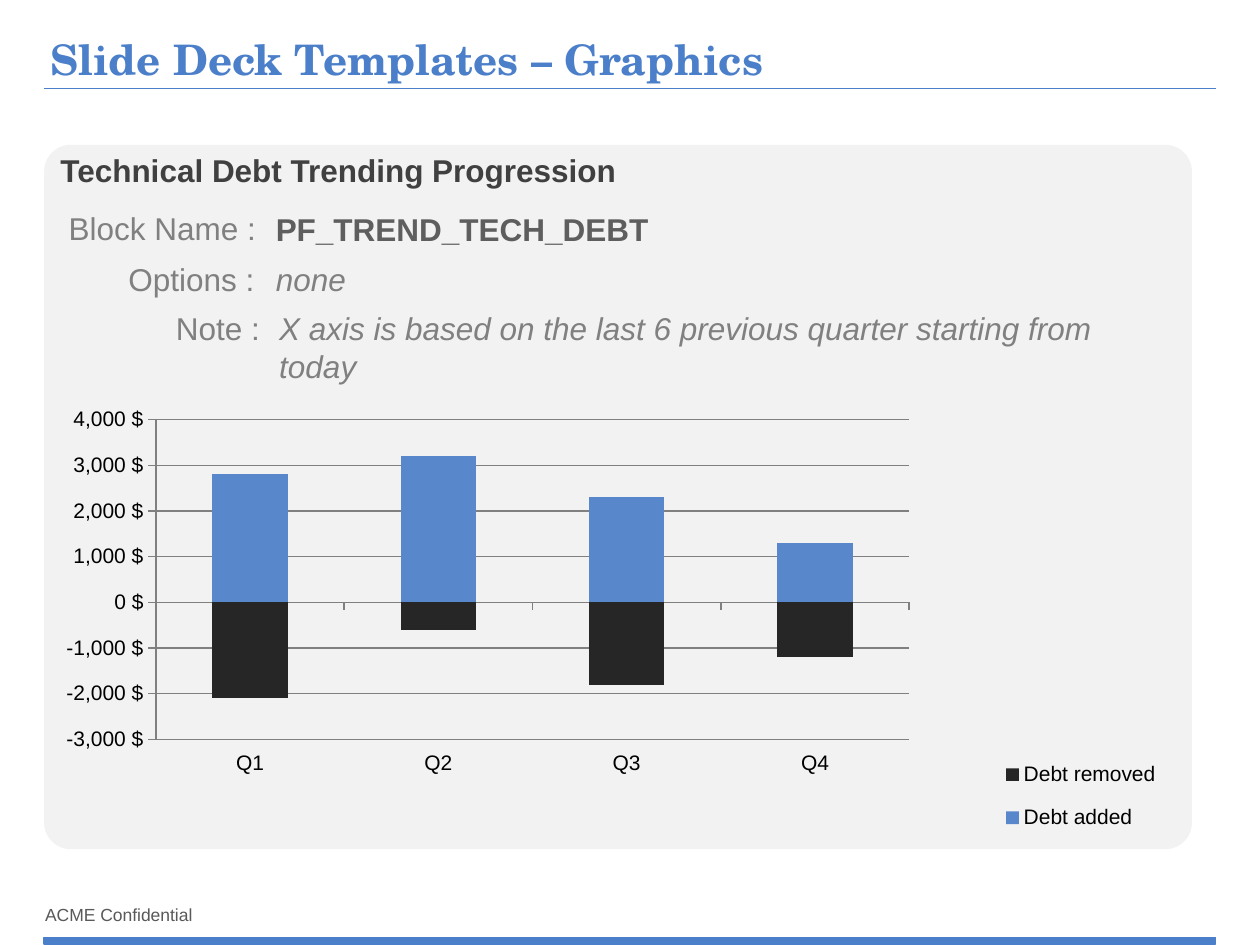
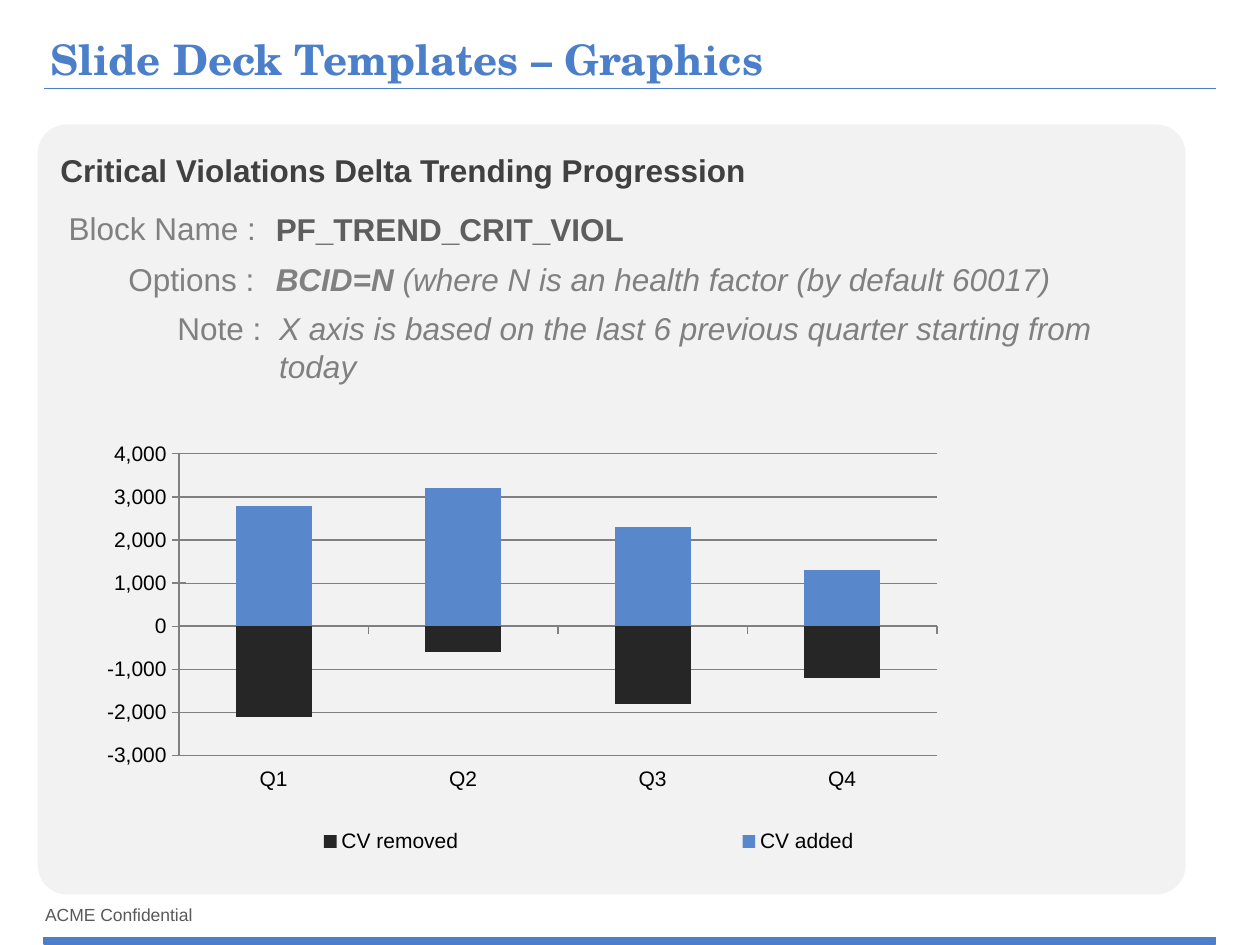
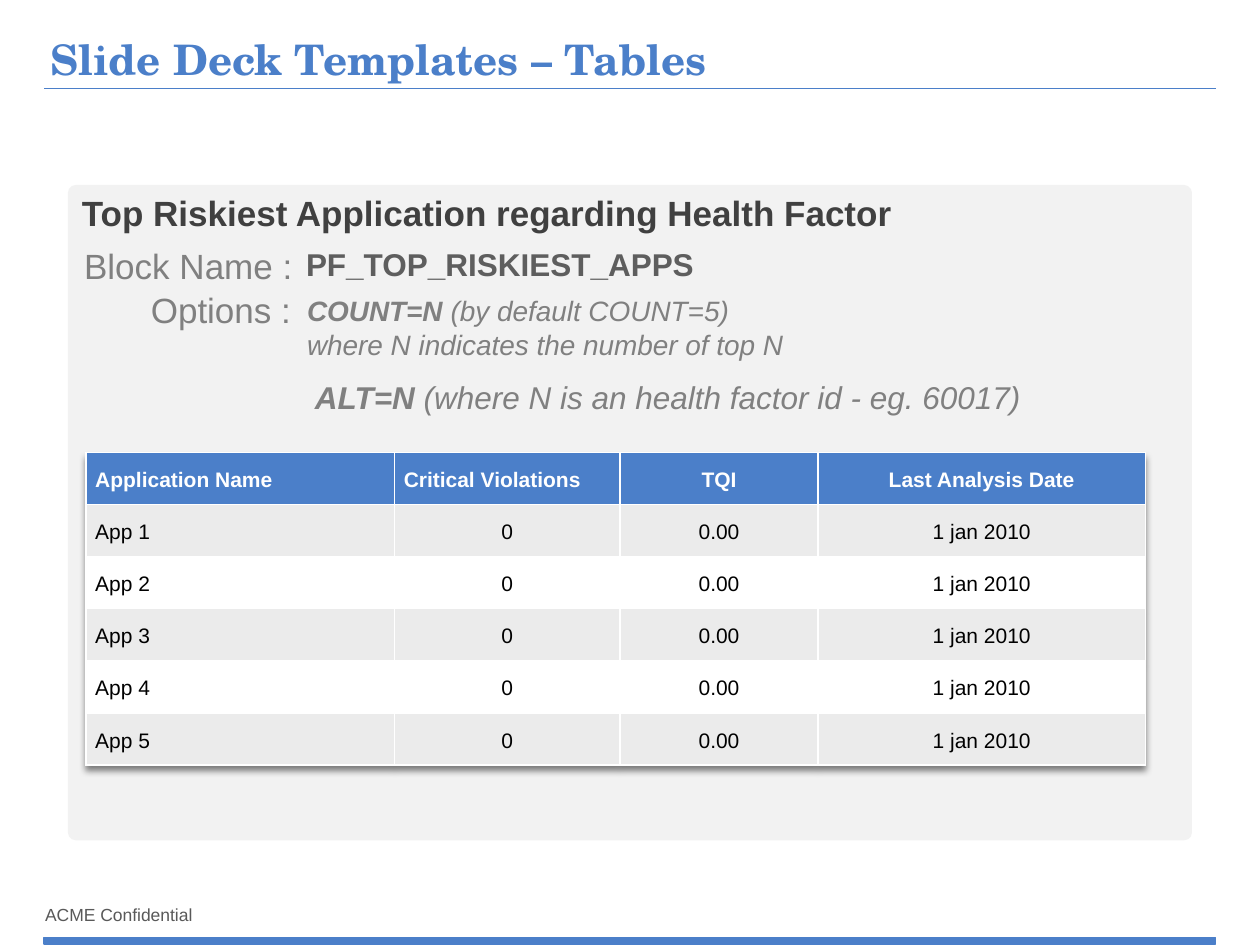
from lxml import etree
from pptx import Presentation
from pptx.chart.data import CategoryChartData
from pptx.dml.color import RGBColor
from pptx.enum.chart import XL_CHART_TYPE, XL_LEGEND_POSITION, XL_TICK_LABEL_POSITION, XL_TICK_MARK
from pptx.enum.shapes import MSO_CONNECTOR, MSO_SHAPE
from pptx.enum.text import MSO_ANCHOR, PP_ALIGN
from pptx.oxml import parse_xml
from pptx.oxml.ns import nsdecls, qn
from pptx.util import Cm, Pt

COLUMNS = XL_CHART_TYPE.COLUMN_CLUSTERED
LEGEND_RIGHT = XL_LEGEND_POSITION.RIGHT
LABELS_LOW = XL_TICK_LABEL_POSITION.LOW
TICK_OUT, TICK_CROSS = XL_TICK_MARK.OUTSIDE, XL_TICK_MARK.CROSS
STRAIGHT = MSO_CONNECTOR.STRAIGHT
RECTANGLE, ROUNDED = MSO_SHAPE.RECTANGLE, MSO_SHAPE.ROUNDED_RECTANGLE
TOP, MIDDLE, BOTTOM = MSO_ANCHOR.TOP, MSO_ANCHOR.MIDDLE, MSO_ANCHOR.BOTTOM
LEFT, CENTER, RIGHT = PP_ALIGN.LEFT, PP_ALIGN.CENTER, PP_ALIGN.RIGHT

BODY_FONT, TITLE_FONT = "Arial", "TeX Gyre Schola"
BLUE, BAR_BLUE, BAR_DARK = "4B7FC9", "5987CC", "262626"
PANEL, STRIPE, WHITE, BLACK = "F2F2F2", "EBEBEB", "FFFFFF", "000000"
HEADING, NAME, GREY, FOOTER = "404040", "5E5E5E", "808080", "595959"
INSETS = (0.25, 0.13, 0.25, 0.13)
EDGE, CONTENT_WIDTH = 0.89, 23.62

FOOTER_TEXT = "ACME Confidential"
QUARTERS = ["Q1", "Q2", "Q3", "Q4"]
REMOVED = [-2100, -600, -1800, -1200]
ADDED = [2800, 3200, 2300, 1300]
NOTE = "X axis is based on the last 6 previous quarter starting from today"

# Boxes are (left, top, width, height) in centimetres.
# Labels and values: text, box, size. A value's paragraphs hold (text, style) spans.
CHART_SLIDES = [
    {
        "title": "Slide Deck Templates – Graphics",
        "panel": (0.89, 2.92, 23.14, 14.2),
        "heading": "Technical Debt Trending Progression",
        "name": "PF_TREND_TECH_DEBT",
        "options": [("none", "i")],
        "note_left": 3.25,
        "chart": (0.97, 7.52, 23.62, 10.8),
        "series": ("Debt removed", "Debt added"),
        "format": '#,##0\\ "$"',
        "plot": (0.092, 0.087, 0.643, 0.597),
        "legend": (0.8, 0.69, 0.163, 0.2),
    },
    {
        "title": "Slide Deck Templates – Graphics",
        "panel": (0.76, 2.51, 23.14, 15.52),
        "heading": "Critical Violations Delta Trending Progression",
        "name": "PF_TREND_CRIT_VIOL",
        "options": [("BCID=N", "bi"), (" (where N is an health factor (by default 60017)", "i")],
        "note_left": 3.28,
        "chart": (0.71, 8.61, 23.01, 10.19),
        "series": ("CV removed", "CV added"),
        "format": "#,##0",
        "plot": (0.126, 0.053, 0.664, 0.597),
        "legend": (0.01, 0.77, 0.95, 0.1),
    },
]

TABLE_TITLE = "Slide Deck Templates – Tables"
TABLE_HEADING = "Top Riskiest Application regarding Health Factor"
TABLE_LABELS = [
    ("Block Name :", (1.4, 4.8, 4.75, 1.12), 20),
    ("Options :", (2.77, 5.69, 3.35, 1.12), 20),
]
TABLE_VALUES = [
    ([[("COUNT=N", "bi"), (" (by default COUNT=5)", "i")],
      [("where N indicates the number of top N", "i")]], (5.94, 5.79, 18.42, 1.63), 16),
    ([[("ALT=N", "bi"), (" (where N is an health factor id - eg. 60017)", "i")]],
     (6.1, 7.49, 17.2, 1.02), 18),
]
HEADERS = ["Application Name", "Critical Violations", "TQI", "Last Analysis Date"]
APPLICATIONS = [[f"App {number}", "0", "0.00", "1 jan 2010"] for number in range(1, 6)]
COLUMN_WIDTHS = [6.22, 4.55, 3.99, 6.6]
ROW_HEIGHT = 1.05


def rgb(color):
    return RGBColor.from_string(color)


def cm(lengths):
    return [Cm(length) for length in lengths]


def style_font(font, size, color, style="", name=BODY_FONT):
    font.size, font.name = Pt(size), name
    font.bold, font.italic = "b" in style, "i" in style
    font.color.rgb = rgb(color)


def add_text(page, paragraphs, place, size, color, font=BODY_FONT, align=LEFT,
             anchor=TOP, insets=INSETS, wrap=True, spacing=None):
    """Add a text box; each paragraph is a list of (text, style) spans."""
    frame = page.shapes.add_textbox(*cm(place)).text_frame
    frame.word_wrap, frame.vertical_anchor = wrap, anchor
    (frame.margin_left, frame.margin_top,
     frame.margin_right, frame.margin_bottom) = cm(insets)
    for index, spans in enumerate(paragraphs):
        para = frame.add_paragraph() if index else frame.paragraphs[0]
        para.alignment, para.line_spacing = align, spacing
        for text, style in spans:
            span = para.add_run()
            span.text = text
            style_font(span.font, size, color, style, font)


def add_box(page, kind, place, color):
    box = page.shapes.add_shape(kind, *cm(place))
    box.shadow.inherit = False
    box.fill.solid()
    box.fill.fore_color.rgb = rgb(color)
    box.line.fill.background()
    return box


def add_page(deck, title, panel, corner):
    """Add a slide with its footer, title, rule, band and grey panel."""
    page = deck.slides.add_slide(deck.slide_layouts[6])
    add_text(page, [[(FOOTER_TEXT, "")]], (0.91, 18.11, 3.12, 0.64), 10, FOOTER,
             anchor=MIDDLE, insets=(0, 0, 0, 0), wrap=False)
    rule = page.shapes.add_connector(STRAIGHT, *cm((EDGE, 1.78, EDGE + CONTENT_WIDTH, 1.78)))
    rule.line.color.rgb, rule.line.width = rgb(BLUE), Pt(0.5)
    etree.SubElement(rule._element.spPr, qn("a:effectLst"))
    band = add_box(page, RECTANGLE, (EDGE, 18.9, CONTENT_WIDTH, 0.13), BLUE)
    band.line.color.rgb, band.line.width = rgb(BLUE), Pt(0.75)
    add_text(page, [[(title, "b")]], (EDGE, 0.66, CONTENT_WIDTH, 1.04), 24, BLUE,
             font=TITLE_FONT, anchor=BOTTOM, insets=(0.13, 0.13, 0.13, 0), spacing=0.9)
    add_box(page, ROUNDED, panel, PANEL).adjustments[0] = corner
    return page


def add_heading(page, text, place, size):
    add_text(page, [[(text, "b")]], place, size, HEADING, insets=(0.51, 0.13, 0.51, 0.13))


def add_block_name(page, text, left, top):
    add_text(page, [[(text, "b")]], (left, top, 18.42, 1.02), 18, NAME)


def add_details(page, labels, values):
    for text, place, size in labels:
        add_text(page, [[(text, "")]], place, size, GREY, align=RIGHT, wrap=False)
    for paragraphs, place, size in values:
        add_text(page, paragraphs, place, size, GREY)


def set_layout(element, index, fractions, inner=False):
    """Fix the place of a plot area or legend as fractions of the chart."""
    for old in element.findall(qn("c:layout")):
        element.remove(old)
    layout = etree.Element(qn("c:layout"))
    manual = etree.SubElement(layout, qn("c:manualLayout"))
    settings = [("layoutTarget", "inner")] if inner else []
    settings += [("xMode", "edge"), ("yMode", "edge"), *zip("xywh", fractions)]
    for tag, value in settings:
        etree.SubElement(manual, qn(f"c:{tag}")).set("val", str(value))
    element.insert(index, layout)


def add_trend_chart(page, content):
    data = CategoryChartData()
    data.categories = QUARTERS
    for name, values in zip(content["series"], (REMOVED, ADDED)):
        data.add_series(name, values)
    chart = page.shapes.add_chart(COLUMNS, *cm(content["chart"]), data).chart
    style_font(chart.font, 12, BLACK)
    chart.has_title = False
    chart.has_legend = True
    chart.legend.position = LEGEND_RIGHT
    chart.legend.include_in_layout = False
    set_layout(chart.legend._element, 1, content["legend"])
    set_layout(chart._chartSpace.chart.plotArea, 0, content["plot"], inner=True)

    plot = chart.plots[0]
    plot.gap_width, plot.overlap, plot.vary_by_categories = 150, 100, False
    for series, color in zip(plot.series, (BAR_DARK, BAR_BLUE)):
        series.invert_if_negative = False
        series.format.fill.solid()
        series.format.fill.fore_color.rgb = rgb(color)

    quarters, amounts = chart.category_axis, chart.value_axis
    quarters.tick_label_position = LABELS_LOW
    quarters.major_tick_mark, amounts.major_tick_mark = TICK_OUT, TICK_CROSS
    amounts.minimum_scale, amounts.maximum_scale, amounts.major_unit = -3000, 4000, 1000
    amounts.has_major_gridlines = True
    amounts.tick_labels.number_format = content["format"]
    amounts.tick_labels.number_format_is_linked = False
    for part, width in ((quarters, 1), (amounts, 0.75), (amounts.major_gridlines, 0.75)):
        part.format.line.color.rgb = rgb(GREY)
        part.format.line.width = Pt(width)


def add_chart_slide(deck, content):
    page = add_page(deck, content["title"], content["panel"], 0.038)
    add_heading(page, content["heading"], (0.71, 2.92, 22.63, 1.02), 18)
    add_block_name(page, content["name"], 5.31, 4.11)
    labels = [
        ("Block Name :", (1.09, 4.09, 4.32, 1.02), 18),
        ("Options :", (2.31, 5.11, 3.07, 1.02), 18),
        ("Note :", (content["note_left"], 6.1, 2.24, 1.02), 18),
    ]
    values = [
        ([content["options"]], (5.31, 5.11, 17.2, 1.02), 18),
        ([[(NOTE, "i")]], (5.38, 6.1, 17.93, 1.8), 18),
    ]
    add_details(page, labels, values)
    add_trend_chart(page, content)


def add_application_table(page):
    rows = [HEADERS, *APPLICATIONS]
    size = (sum(COLUMN_WIDTHS), ROW_HEIGHT * len(rows))
    table = page.shapes.add_table(len(rows), len(HEADERS), *cm((1.73, 9.12, *size))).table
    table._tbl.tblPr.insert(0, parse_xml(
        f'<a:effectLst {nsdecls("a")}><a:outerShdw blurRad="50800" dist="38100" dir="5400000">'
        '<a:srgbClr val="000000"><a:alpha val="50000"/></a:srgbClr></a:outerShdw></a:effectLst>'))
    for column, width in zip(table.columns, COLUMN_WIDTHS):
        column.width = Cm(width)
    for row_index, texts in enumerate(rows):
        table.rows[row_index].height = Cm(ROW_HEIGHT)
        is_header = row_index == 0
        fill = BLUE if is_header else (WHITE, STRIPE)[row_index % 2]
        for column_index, text in enumerate(texts):
            cell = table.cell(row_index, column_index)
            cell.fill.solid()
            cell.fill.fore_color.rgb = rgb(fill)
            cell.vertical_anchor = MIDDLE
            cell.margin_left = cell.margin_right = Cm(0.19)
            cell.margin_top = cell.margin_bottom = 0
            para = cell.text_frame.paragraphs[0]
            para.text, para.line_spacing = text, 1.15
            at_left = column_index == 0 or (is_header and column_index == 1)
            para.alignment = LEFT if at_left else CENTER
            style_font(para.runs[0].font, 12, WHITE if is_header else BLACK,
                       "b" if is_header else "")


def add_table_slide(deck):
    page = add_page(deck, TABLE_TITLE, (1.37, 3.73, 22.66, 13.21), 0.012)
    add_heading(page, TABLE_HEADING, (1.14, 3.73, 22.63, 1.12), 20)
    add_block_name(page, "PF_TOP_RISKIEST_APPS", 5.92, 4.8)
    add_details(page, TABLE_LABELS, TABLE_VALUES)
    add_application_table(page)


def main():
    deck = Presentation()
    deck.slide_width, deck.slide_height = Cm(25.4), Cm(19.05)
    for content in CHART_SLIDES:
        add_chart_slide(deck, content)
    add_table_slide(deck)
    deck.save("out.pptx")


if __name__ == "__main__":
    main()
